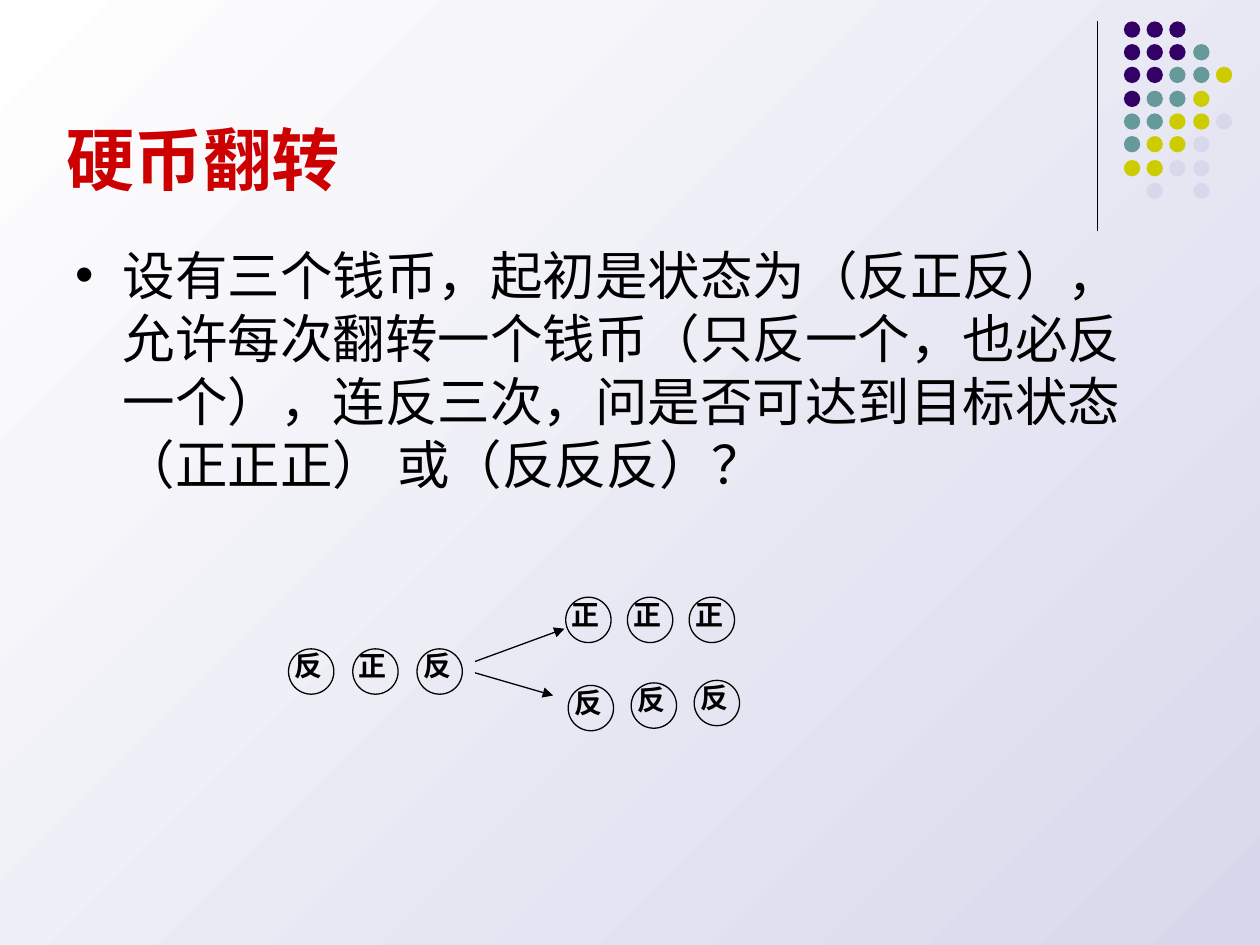
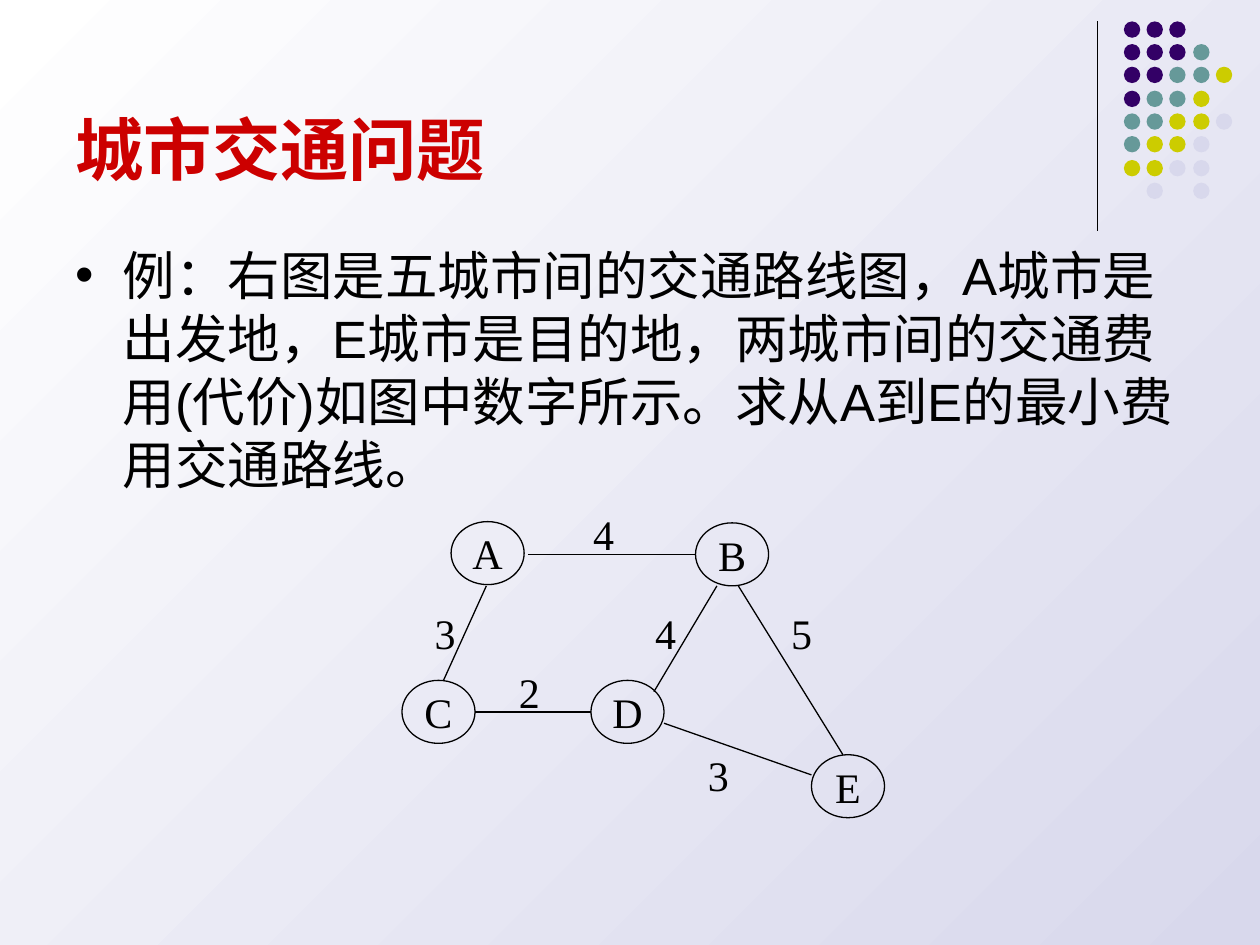
from lxml.etree import SubElement
from pptx import Presentation
from pptx.dml.color import RGBColor
from pptx.enum.shapes import MSO_CONNECTOR, MSO_SHAPE
from pptx.enum.text import MSO_ANCHOR, MSO_AUTO_SIZE, PP_ALIGN
from pptx.oxml.ns import qn
from pptx.util import Pt

SCALE = 9144  # EMU per px, 100 px to the inch
INK, RED, PLUM = "000000", "CC0000", "330066"
TEAL, OLIVE, MIST, WHITE = "669999", "CCCC00", "D8D8EC", "FFFFFF"
SANS, SERIF = "Arial", "Times New Roman"
HUES = {"P": PLUM, "T": TEAL, "O": OLIVE, "M": MIST}
DOTS = ["PPP", "PPPT", "PPTTO", "PTTO", "TTOOM", "TOOM", "OOMM", " M M"]


def px(*vals):
    return [val * SCALE for val in vals]


def color(code):
    return RGBColor.from_string(code)


def write(shape, text, font=SERIF, size=24, hue=INK, bold=False,
          align=PP_ALIGN.LEFT, anchor=MSO_ANCHOR.TOP, wrap=True):
    frame = shape.text_frame
    frame.text = text
    frame.word_wrap = wrap
    frame.auto_size = MSO_AUTO_SIZE.NONE
    frame.vertical_anchor = anchor
    para = frame.paragraphs[0]
    para.alignment = align
    para.space_before = Pt(0)
    style = para.runs[0].font
    style.name, style.size, style.bold = font, Pt(size), bold
    style.color.rgb = color(hue)


def label(group, text, x, y, wide, high, **form):
    write(group.shapes.add_textbox(*px(x, y, wide, high)), text, **form)


def oval(group, x, y, wide, high, fill=None):
    """Filled without a line, or outlined when no fill is given."""
    shape = group.shapes.add_shape(MSO_SHAPE.OVAL, *px(x, y, wide, high))
    shape.shadow.inherit = False
    if fill:
        shape.fill.solid()
        shape.fill.fore_color.rgb = color(fill)
        shape.line.fill.background()
    else:
        shape.fill.background()
        shape.line.color.rgb = color(INK)
        shape.line.width = Pt(0.75)
    return shape


def link(group, x1, y1, x2, y2, arrow=False):
    line = group.shapes.add_connector(
        MSO_CONNECTOR.STRAIGHT, *px(x1, y1, x2, y2))
    line.line.color.rgb = color(INK)
    line.line.width = Pt(0.75)
    props = line.element.spPr
    if arrow:
        SubElement(props.find(qn("a:ln")), qn("a:tailEnd"), type="triangle")
    SubElement(props, qn("a:effectLst"))


def place(shape, box):
    shape.left, shape.top, shape.width, shape.height = px(*box)


def corner(slide, left, top):
    """Rule and dot pattern at the top right."""
    link(slide, left, top, left, top + 166)
    group = slide.shapes.add_group_shape()
    for row, line in enumerate(DOTS):
        for col, key in enumerate(line):
            if key in HUES:
                oval(group, left + 21 + 55 * col // 3, top + 55 * row // 3,
                     13, 13, HUES[key])


def indent(para, bullet):
    props = para._p.get_or_add_pPr()
    props.set("marL", str(38 * SCALE))
    props.set("indent", str(-38 * SCALE))
    if not bullet:
        SubElement(props, qn("a:buNone"))
        return
    SubElement(SubElement(props, qn("a:buClr")), qn("a:srgbClr"), val=PLUM)
    SubElement(props, qn("a:buSzPct"), val="70000")
    SubElement(props, qn("a:buFont"), typeface=SANS)
    SubElement(props, qn("a:buChar"), char="●")


def page(deck, title, spot, text, wide, bullet=False):
    slide = deck.slides.add_slide(deck.slide_layouts[1])
    corner(slide, 871, 17)
    head, body = slide.placeholders
    place(head, (*spot, 825, 142))
    write(head, title, font=SANS, size=39, hue=RED, bold=True,
          anchor=MSO_ANCHOR.BOTTOM)
    place(body, (50, 188, wide, 482))
    indent(body.text_frame.paragraphs[0], bullet)
    write(body, text, font=SANS, size=30)
    return slide


def coins(slide, left, top):
    """Start state on the left, with arrows to both goal states."""
    group = slide.shapes.add_group_shape()
    rows = [("反正反", 4, 46, 51, 0),
            ("正正正", 224, 5, 49, 0),
            ("反反反", 226, 75, 50, -2)]
    for faces, x, y, step, rise in rows:
        for i, face in enumerate(faces):
            cx, cy = left + x + i * step, top + y + i * rise
            oval(group, cx, cy, 36, 36)
            label(group, face, cx - 5, cy - 5, 42, 37,
                  size=16, bold=True, wrap=False)
    for x1, y1, x2, y2 in [(152, 56, 223, 30), (152, 65, 214, 83)]:
        link(group, left + x1, top + y1, left + x2, top + y2, arrow=True)


def roads(slide, left, top):
    """Cities, the roads between them and their costs."""
    group = slide.shapes.add_group_shape()
    towns = {"A": (39, 0), "B": (233, 1), "C": (0, 126),
             "D": (150, 126), "E": (325, 185)}
    for name, (x, y) in towns.items():
        write(oval(group, left + x, top + y, 58, 50), name, wrap=False,
              align=PP_ALIGN.CENTER, anchor=MSO_ANCHOR.MIDDLE)
    # road ends, then cost and its place
    ways = [(67, 51, 33, 126, "3", 16, 63),
            (100, 26, 233, 26, "4", 142, -15),
            (58, 151, 150, 151, "2", 83, 110),
            (200, 135, 250, 51, "4", 191, 63),
            (208, 160, 325, 201, "3", 233, 176),
            (267, 51, 350, 185, "5", 299, 63)]
    for x1, y1, x2, y2, cost, x, y in ways:
        link(group, left + x1, top + y1, left + x2, top + y2)
        label(group, cost, left + x, top + y, 42, 50)


def main():
    deck = Presentation()
    deck.slide_width, deck.slide_height = px(1000, 750)
    fill = deck.slide_master.background.fill
    fill.gradient()
    fill.gradient_angle = 135
    for stop, hue in zip(fill.gradient_stops, (MIST, WHITE)):
        stop.color.rgb = color(hue)

    slide = page(
        deck, "硬币翻转", (43, 21),
        "设有三个钱币，起初是状态为（反正反），允许每次翻转一个钱币"
        "（只反一个，也必反一个），连反三次，问是否可达到目标状态"
        "（正正正） 或（反反反）？", 883, bullet=True)
    coins(slide, 225, 469)

    slide = page(
        deck, "城市交通问题", (50, 13),
        "例：右图是五城市间的交通路线图，A城市是出发地，E城市是目的地，"
        "两城市间的交通费用(代价)如图中数字所示。"
        "求从A到E的最小费用交通路线。", 900)
    roads(slide, 319, 414)
    deck.save("out.pptx")


if __name__ == "__main__":
    main()
